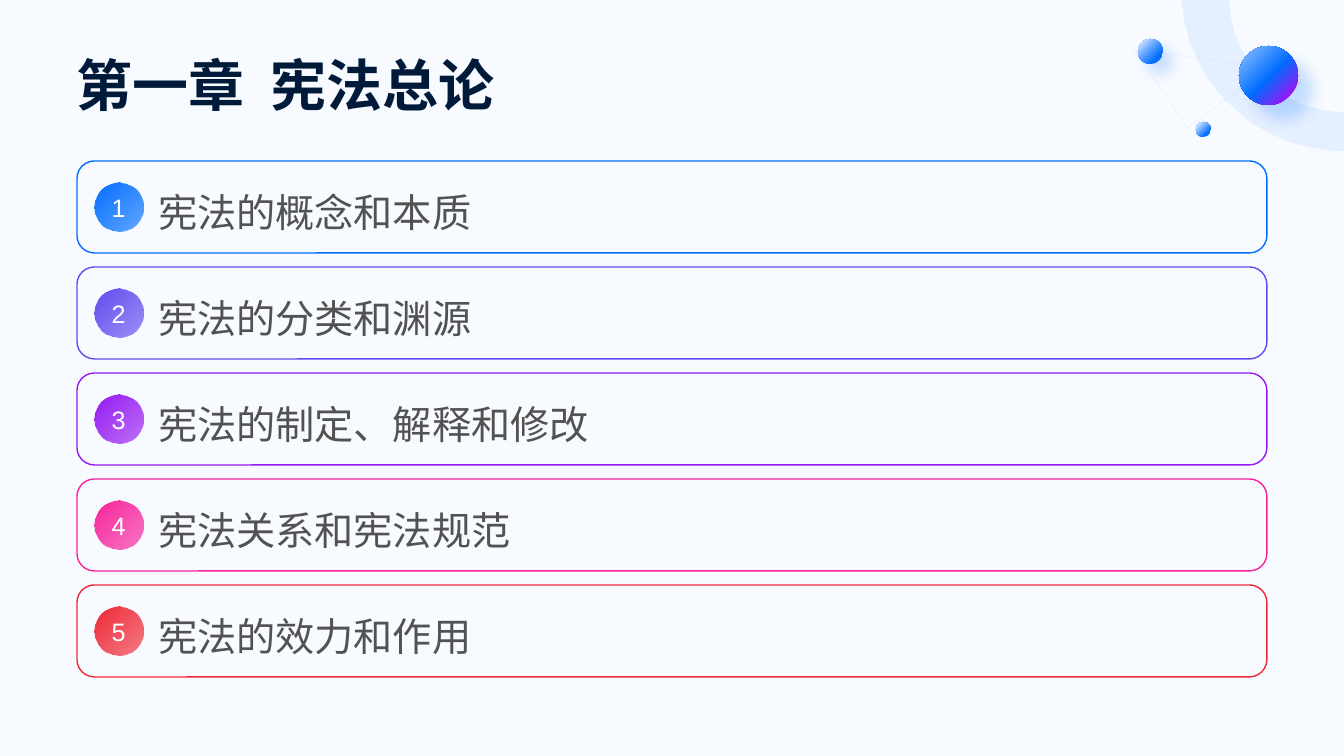
import math
import pptx
import pptx.util
import pptx.dml.color
import pptx.enum.shapes
import pptx.enum.text
import pptx.oxml
import pptx.oxml.ns

TITLE = "第一章  宪法总论"
SECTIONS = [
    ("宪法的概念和本质", "016EFF"),
    ("宪法的分类和渊源", "624AF0"),
    ("宪法的制定、解释和修改", "9618F4"),
    ("宪法关系和宪法规范", "F7219B"),
    ("宪法的效力和作用", "F02836"),
]
# left, top, size, gradient stops (position, colour, opacity), shadow distance in points
BALLS = [
    (1239, 46, 59, [(0, "99C5FF", 100), (52, "016EFF", 100), (85, "9618F4", 100)], 15),
    (1138, 39, 25, [(12, "CCE2FF", 100), (40, "67A8FF", 100), (75, "016EFF", 100)], 10),
    (1196, 122, 15, [(13, "CCE2FF", 100), (75, "016EFF", 100)], 0),
]
TRIANGLE = [(1134, 49), (1268, 68), (1187, 128)]
W, H = 1344, 756
LEFT, WIDTH = 77, 1190
ROW_TOP, ROW_H, ROW_PITCH = 161, 92, 106
BADGE_LEFT, BADGE_DROP, BADGE = 94, 22, 49
SCALE = 914400 / 100.8
SHAPE = pptx.enum.shapes.MSO_SHAPE
ANCHOR = pptx.enum.text.MSO_ANCHOR


def px(n):
    return round(n * SCALE)


def rgb(value):
    return pptx.dml.color.RGBColor.from_string(value)


def xml(tag, body):
    ns = pptx.oxml.ns.nsdecls("a")
    return pptx.oxml.parse_xml(f"<a:{tag} {ns}>{body}</a:{tag}>")


def color_xml(value, opacity):
    return f'<a:srgbClr val="{value}"><a:alpha val="{opacity * 1000}"/></a:srgbClr>'


def set_opacity(fill_parent, opacity):
    clr = next(fill_parent.iter(pptx.oxml.ns.qn("a:srgbClr")))
    clr.append(xml("alpha", ""))
    clr[-1].set("val", str(opacity * 1000))


def add_shape(kind, left, top, width, height):
    s = slide.shapes.add_shape(kind, px(left), px(top), px(width), px(height))
    s.shadow.inherit = False
    return s


def add_gradient_ball(left, top, size, stops, direction):
    s = add_shape(SHAPE.OVAL, left, top, size, size)
    s.line.fill.background()
    gs = "".join(f'<a:gs pos="{pos * 1000}">{color_xml(c, a)}</a:gs>' for pos, c, a in stops)
    geometry = s._element.spPr.find(pptx.oxml.ns.qn("a:prstGeom"))
    geometry.addnext(xml("gradFill", f"<a:gsLst>{gs}</a:gsLst>{direction}"))
    return s


def add_outline(points):
    builder = slide.shapes.build_freeform(*points[0], scale=SCALE)
    builder.add_line_segments(points[1:], close=True)
    s = builder.convert_to_shape()
    s.shadow.inherit = False
    return s


def set_text(tf, text, size, color, anchor, margins=None, bold=False):
    tf.vertical_anchor = anchor
    if margins:
        tf.margin_left, tf.margin_top, tf.margin_right, tf.margin_bottom = map(px, margins)
    p = tf.paragraphs[0]
    p.alignment = pptx.enum.text.PP_ALIGN.LEFT
    r = p.add_run()
    r.text = text
    r.font.name = "Arial"
    r.font.size = pptx.util.Pt(size)
    r.font.bold = bold
    r.font.color.rgb = rgb(color)
    return p


def arc(center_y, radius):
    """Points of a circle centred on the right edge, from the top edge down to the right edge."""
    end = 180 + math.degrees(math.asin(center_y / radius))
    angles = [math.radians(end + (90 - end) * i / 40) for i in range(41)]
    return [(W + radius * math.cos(a), center_y + radius * math.sin(a)) for a in angles]


prs = pptx.Presentation()
prs.slide_width, prs.slide_height = px(W), px(H)
slide = prs.slides.add_slide(prs.slide_layouts[6])
slide.background.fill.solid()
slide.background.fill.fore_color.rgb = rgb("F7FAFF")

# Corner decoration: thin triangle, ring, balls
s = add_outline(TRIANGLE)
s.fill.background()
s.line.color.rgb = rgb("CCE2FF")
s.line.width = pptx.util.Pt(0.25)
set_opacity(s.line._ln, 50)

s = add_outline(arc(-12, 163) + arc(-3, 115)[::-1])
s.fill.solid()
s.fill.fore_color.rgb = rgb("99C5FF")
set_opacity(s._element.spPr, 20)
s.line.fill.background()

radial = '<a:path path="circle"><a:fillToRect r="100000" b="100000"/></a:path>'
for left, top, size, stops, distance in BALLS:
    s = add_gradient_ball(left, top, size, stops, radial)
    if distance:
        shadow = xml("outerShdw", color_xml("016EFF", 20))
        shadow.set("blurRad", str(pptx.util.Pt(10)))
        shadow.set("dist", str(pptx.util.Pt(distance)))
        shadow.set("dir", str(45 * 60000))
        s._element.spPr.find(pptx.oxml.ns.qn("a:effectLst")).append(shadow)

# Title
s = slide.shapes.add_textbox(px(LEFT), px(39), px(WIDTH), px(79))
s.text_frame.word_wrap = True
set_text(s.text_frame, TITLE, 40, "001A3A", ANCHOR.BOTTOM, (0, 0, 0, 0), True)

# Section rows with numbered badges
linear = f'<a:lin ang="{45 * 60000}" scaled="0"/>'
for i, (text, color) in enumerate(SECTIONS):
    top = ROW_TOP + i * ROW_PITCH
    s = add_shape(SHAPE.ROUNDED_RECTANGLE, LEFT, top, WIDTH, ROW_H)
    s.adjustments[0] = 0.19
    s.fill.solid()
    s.fill.fore_color.rgb = rgb("FFFFFF")
    set_opacity(s._element.spPr, 10)
    s.line.color.rgb = rgb(color)
    s.line.width = pptx.util.Pt(1)
    p = set_text(s.text_frame, text, 28, "525252", ANCHOR.MIDDLE, (76, 0, 12, 5))
    p.line_spacing = 1.3

    stops = [(0, color, 100), (100, color, 59)]
    s = add_gradient_ball(BADGE_LEFT, top + BADGE_DROP, BADGE, stops, linear)
    s.text_frame.word_wrap = False
    p = set_text(s.text_frame, str(i + 1), 18, "FFFFFF", ANCHOR.MIDDLE)
    p.alignment = pptx.enum.text.PP_ALIGN.CENTER

prs.save("out.pptx")
